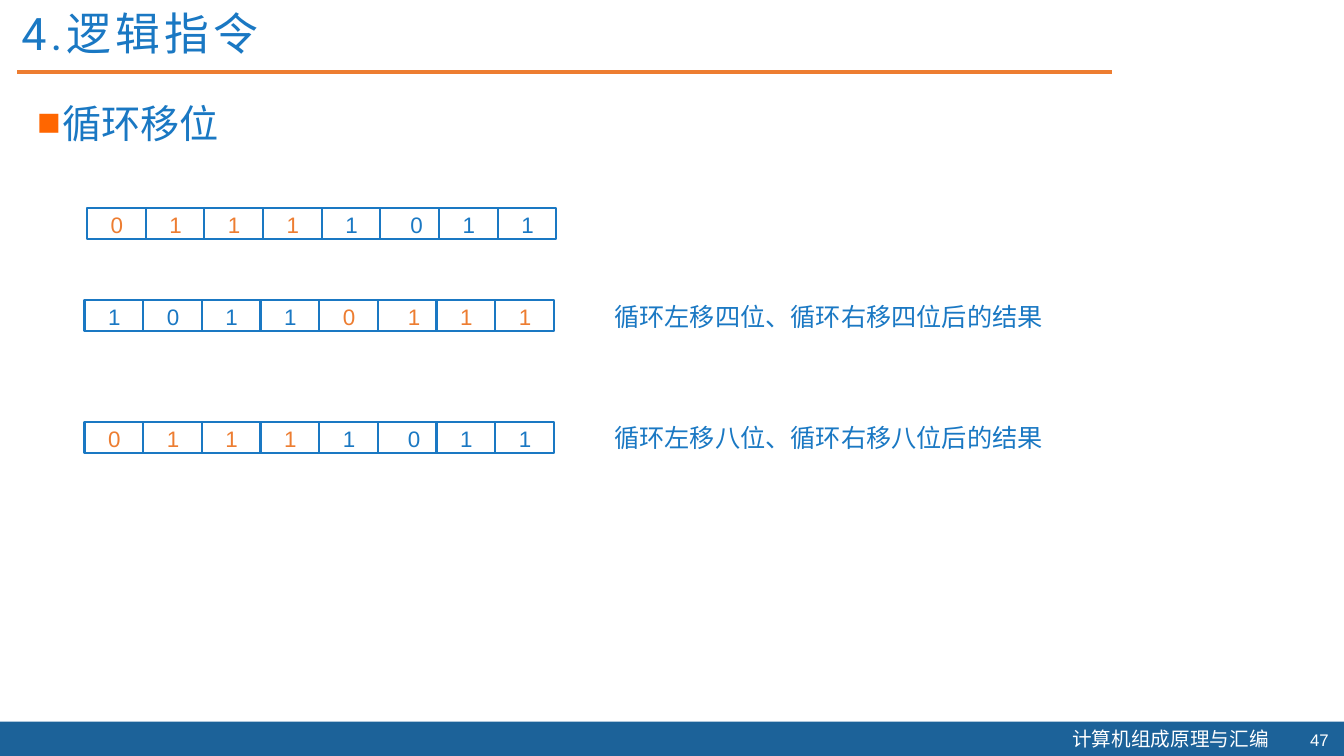
from lxml.etree import SubElement
from pptx import Presentation
from pptx.dml.color import RGBColor
from pptx.enum.shapes import MSO_CONNECTOR, MSO_SHAPE
from pptx.enum.text import MSO_ANCHOR, MSO_AUTO_SIZE, PP_ALIGN
from pptx.oxml.ns import qn
from pptx.util import Pt

BLUE, ORANGE, WHITE = "1A78C3", "ED7D31", "FFFFFF"
BAR, BULLET = "1C6299", "FF6600"
CELL_W, CELL_H = 41.9, 22.2


def rgb(value):
    return RGBColor.from_string(value)


class SlideBuilder:
    def __init__(self, slide):
        self.s = slide
        self.font = "Arial"
        self.color = BLUE

    def run(self, p, text, size, color=None, font=None):
        r = p.add_run()
        r.text = text
        r.font.size = Pt(size)
        r.font.name = font or self.font
        r.font.color.rgb = rgb(color or self.color)
        return r

    def placeholder(self, sp, x, y, w, h):
        """Move a placeholder and return its first paragraph, ready for runs."""
        sp.left, sp.top, sp.width, sp.height = Pt(x), Pt(y), Pt(w), Pt(h)
        tf = sp.text_frame
        tf.auto_size = MSO_AUTO_SIZE.NONE
        tf.vertical_anchor = MSO_ANCHOR.TOP
        p = tf.paragraphs[0]
        p.alignment = PP_ALIGN.LEFT
        p.space_before = Pt(10)
        return p

    def title(self, text, *box):
        p = self.placeholder(self.s.shapes.title, *box)
        p.line_spacing = 0.9
        r = self.run(p, text, 32, font="Roboto")
        r.font._element.set("spc", "300")

    def bullet(self, text, *box):
        p = self.placeholder(self.s.placeholders[1], *box)
        pPr = p._p.get_or_add_pPr()
        pPr.set("marL", str(Pt(18)))
        pPr.set("indent", str(-Pt(18)))
        color = SubElement(pPr, qn("a:buClr"))
        SubElement(color, qn("a:srgbClr")).set("val", BULLET)
        SubElement(pPr, qn("a:buFont")).set("typeface", self.font)
        SubElement(pPr, qn("a:buChar")).set("char", "■")
        self.run(p, text, 28)

    def rect(self, x, y, w, h, fill=None, line=None, shapes=None):
        sp = (shapes or self.s.shapes).add_shape(
            MSO_SHAPE.RECTANGLE, Pt(x), Pt(y), Pt(w), Pt(h))
        sp.shadow.inherit = False
        if fill:
            sp.fill.solid()
            sp.fill.fore_color.rgb = rgb(fill)
        else:
            sp.fill.background()
        if line:
            sp.line.color.rgb = rgb(line)
            sp.line.width = Pt(1.5)
        else:
            sp.line.fill.background()

    def rule(self, x1, x2, y):
        line = self.s.shapes.add_connector(
            MSO_CONNECTOR.STRAIGHT, Pt(x1), Pt(y), Pt(x2), Pt(y))
        line.line.color.rgb = rgb(ORANGE)
        line.line.width = Pt(3)
        SubElement(line._element.spPr, qn("a:effectLst"))

    def text(self, text, x, y, w, h, size, color=None, font=None, wrap=False,
             align=PP_ALIGN.LEFT, anchor=MSO_ANCHOR.TOP, shapes=None):
        sp = (shapes or self.s.shapes).add_textbox(Pt(x), Pt(y), Pt(w), Pt(h))
        tf = sp.text_frame
        tf.word_wrap = wrap
        tf.auto_size = MSO_AUTO_SIZE.NONE if wrap else MSO_AUTO_SIZE.SHAPE_TO_FIT_TEXT
        tf.vertical_anchor = anchor
        p = tf.paragraphs[0]
        p.alignment = align
        self.run(p, text, size, color, font)

    def register(self, x, y, bits, orange):
        """Draw a row of bit cells; the bits at the indices in orange stand out."""
        shapes = self.s.shapes.add_group_shape().shapes
        for i in range(len(bits)):
            self.rect(x + i * CELL_W, y, CELL_W, CELL_H, line=BLUE, shapes=shapes)
        for i, bit in enumerate(bits):
            nudge = 4.5 if i == 5 else 0
            self.text(bit, x + i * CELL_W + 9.8 + nudge, y - 1.4, 23.8, 26.6, 16,
                      ORANGE if i in orange else BLUE, shapes=shapes)


def main():
    prs = Presentation()
    prs.slide_width, prs.slide_height = Pt(960), Pt(540)
    page = SlideBuilder(prs.slides.add_slide(prs.slide_layouts[1]))

    page.rect(0, 515.5, 960, 25, fill=BAR)
    page.text("计算机组成原理与汇编", 758.9, 515.5, 157, 24.2, 14, WHITE,
              "Noto Sans CJK SC", wrap=True)
    page.rule(12.5, 794.5, 51.2)
    page.text("47", 920.2, 517.7, 36, 21.6, 12, WHITE, wrap=True,
              align=PP_ALIGN.RIGHT, anchor=MSO_ANCHOR.MIDDLE)

    page.title("4.逻辑指令", 8, 5, 766.8, 34.6)
    page.bullet("循环移位", 19.4, 67, 931.7, 437)

    high, low = range(4), range(4, 8)
    page.register(62.2, 148.4, "01111011", high)
    page.register(60.4, 214.4, "10110111", low)
    page.text("循环左移四位、循环右移四位后的结果", 431.7, 211.7, 323.3, 29, 18)
    page.register(60.4, 301.6, "01111011", high)
    page.text("循环左移八位、循环右移八位后的结果", 431.7, 298.2, 326.9, 29, 18)

    prs.save("out.pptx")


if __name__ == "__main__":
    main()
